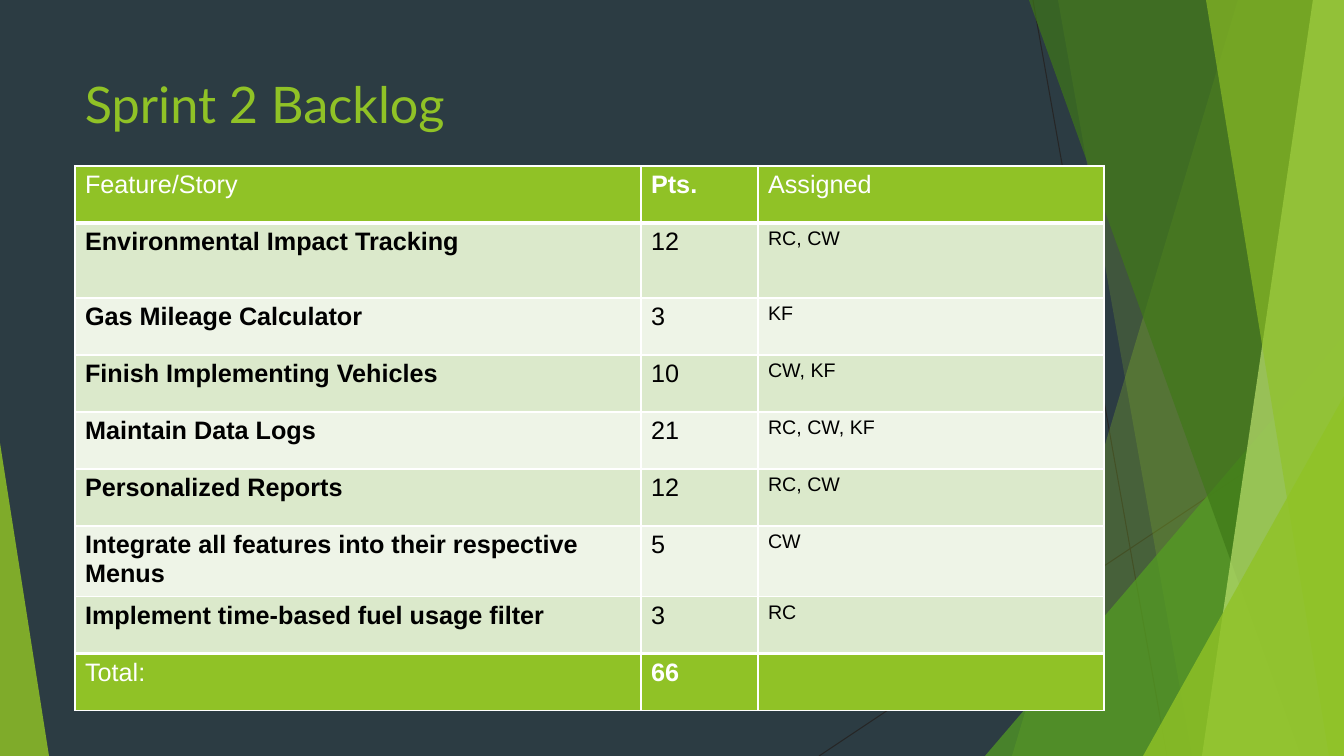
from dataclasses import dataclass

from lxml.etree import SubElement
from pptx import Presentation
from pptx.dml.color import RGBColor
from pptx.enum.shapes import MSO_CONNECTOR, MSO_SHAPE
from pptx.enum.text import MSO_ANCHOR
from pptx.oxml.ns import qn
from pptx.util import Pt

EMU_PER_PX = 914400 / 100.8


@dataclass(frozen=True)
class Theme:
    background: str = "2C3C43"
    accent: str = "90C226"
    leaf: str = "54A021"
    forest: str = "3F7818"
    lime: str = "BFE471"
    hairline: str = "262626"
    white: str = "FFFFFF"
    black: str = "000000"
    stripes: tuple = ("DBE9CB", "EEF4E7")
    title_font: str = "Lato"
    body_font: str = "Arial"
    title_size: int = 36
    body_size: int = 18
    small_size: int = 14
    thin: int = 1
    thick: int = 3


THEME = Theme()

COLUMNS = (566, 117, 346)
ROW_HEIGHT = 57
TALL_ROWS = {1: 75, 6: 66}
BACKLOG = (
    ("Feature/Story", "Pts.", "Assigned"),
    ("Environmental Impact Tracking", "12", "RC, CW"),
    ("Gas Mileage Calculator", "3", "KF"),
    ("Finish Implementing Vehicles", "10", "CW, KF"),
    ("Maintain Data Logs", "21", "RC, CW, KF"),
    ("Personalized Reports", "12", "RC, CW"),
    ("Integrate all features into their respective Menus", "5", "CW"),
    ("Implement time-based fuel usage filter", "3", "RC"),
    ("Total:", "66", ""),
)


def px(n):
    return round(n * EMU_PER_PX)


def rgb(color):
    return RGBColor.from_string(color)


def paint(sp, color, opacity):
    """Fill a shape with a see-through colour; opacity is in percent."""
    sp.shadow.inherit = False
    sp.fill.solid()
    sp.fill.fore_color.rgb = rgb(color)
    sp.line.fill.background()
    clr = sp.element.spPr.find(qn("a:solidFill"))[0]
    SubElement(clr, qn("a:alpha")).set("val", str(opacity * 1000))


def write(tf, text, font, size, color, bold=False):
    r = tf.paragraphs[0].add_run()
    r.text = text
    r.font.name = font
    r.font.size = Pt(size)
    r.font.bold = bold
    r.font.color.rgb = rgb(color)


def add_hairline(slide, x1, y1, x2, y2):
    line = slide.shapes.add_connector(
        MSO_CONNECTOR.STRAIGHT, px(x1), px(y1), px(x2), px(y2))
    line.line.color.rgb = rgb(THEME.hairline)
    line.line.width = Pt(0.75)
    SubElement(line.element.spPr, qn("a:effectLst"))


def add_band(slide, box, top, bottom, color, opacity):
    """Fill the box to the right of a slanted edge from top to bottom."""
    x, y, w, h = box
    builder = slide.shapes.build_freeform(px(x + top), px(y), scale=1.0)
    corners = ((x + w, y), (x + w, y + h), (x + bottom, y + h))
    builder.add_line_segments([(px(cx), px(cy)) for cx, cy in corners])
    paint(builder.convert_to_shape(), color, opacity)


def add_wedge(slide, box, apex, color, opacity):
    """Add a right triangle with its apex at 0 (left) or 1 (right)."""
    sp = slide.shapes.add_shape(
        MSO_SHAPE.ISOSCELES_TRIANGLE, *(px(n) for n in box))
    sp.adjustments[0] = apex
    paint(sp, color, opacity)


def add_facets(slide, box):
    x, y, w, h = box

    def corner_wedge(left, top, color, opacity):
        add_wedge(slide, (x + left, y + top, w - left, h - top), 1, color, opacity)

    add_hairline(slide, x + 214, y, x + 348, y + h)
    add_hairline(slide, x + w, y + 406, x, y + h)
    add_band(slide, box, 419, 193, THEME.accent, 28)
    add_band(slide, box, 239, 373, THEME.accent, 20)
    corner_wedge(166, 336, THEME.leaf, 70)
    add_band(slide, box, 210, 482, THEME.forest, 68)
    add_band(slide, box, 494, 383, THEME.lime, 68)
    add_band(slide, box, 387, 510, THEME.accent, 63)
    corner_wedge(324, 396, THEME.accent, 80)


def add_title(slide, box, text):
    tf = slide.shapes.add_textbox(*(px(n) for n in box)).text_frame
    tf.word_wrap = True
    tf.vertical_anchor = MSO_ANCHOR.TOP
    write(tf, text, THEME.title_font, THEME.title_size, THEME.accent)


def set_borders(cell, top, bottom):
    """Draw white cell borders; top and bottom are widths in points."""
    tc_pr = cell._tc.get_or_add_tcPr()
    widths = {"lnL": THEME.thin, "lnR": THEME.thin, "lnT": top, "lnB": bottom}
    for i, (side, width) in enumerate(widths.items()):
        ln = SubElement(tc_pr, qn(f"a:{side}"))
        ln.set("w", str(Pt(width)))
        fill = SubElement(ln, qn("a:solidFill"))
        SubElement(fill, qn("a:srgbClr")).set("val", THEME.white)
        tc_pr.insert(i, ln)


def style_cell(cell, text, row, col, last):
    edge = row in (0, last)
    cell.fill.solid()
    cell.fill.fore_color.rgb = rgb(
        THEME.accent if edge else THEME.stripes[(row - 1) % 2])
    set_borders(cell,
                THEME.thick if row in (1, last) else THEME.thin,
                THEME.thick if row in (0, last - 1) else THEME.thin)
    if text:
        small = col == 2 and not edge
        write(cell.text_frame, text, THEME.body_font,
              THEME.small_size if small else THEME.body_size,
              THEME.white if edge else THEME.black,
              bold=col == (1 if edge else 0))


def add_backlog(slide, x, y):
    heights = [TALL_ROWS.get(i, ROW_HEIGHT) for i in range(len(BACKLOG))]
    table = slide.shapes.add_table(
        len(BACKLOG), len(COLUMNS), px(x), px(y),
        px(sum(COLUMNS)), px(sum(heights))).table
    for column, width in zip(table.columns, COLUMNS):
        column.width = px(width)
    for i, (height, texts) in enumerate(zip(heights, BACKLOG)):
        table.rows[i].height = px(height)
        for j, text in enumerate(texts):
            style_cell(table.cell(i, j), text, i, j, len(BACKLOG) - 1)


def build_backlog_slide(prs):
    slide = prs.slides.add_slide(prs.slide_layouts[6])
    slide.background.fill.solid()
    slide.background.fill.fore_color.rgb = rgb(THEME.background)
    add_facets(slide, (819, 0, 525, 756))
    add_wedge(slide, (0, 443, 49, 313), 0, THEME.accent, 83)
    add_title(slide, (75, 68, 948, 145), "Sprint 2 Backlog")
    add_backlog(slide, 75, 166)


def main():
    prs = Presentation()
    prs.slide_width, prs.slide_height = px(1344), px(756)
    build_backlog_slide(prs)
    prs.save("out.pptx")


if __name__ == "__main__":
    main()
